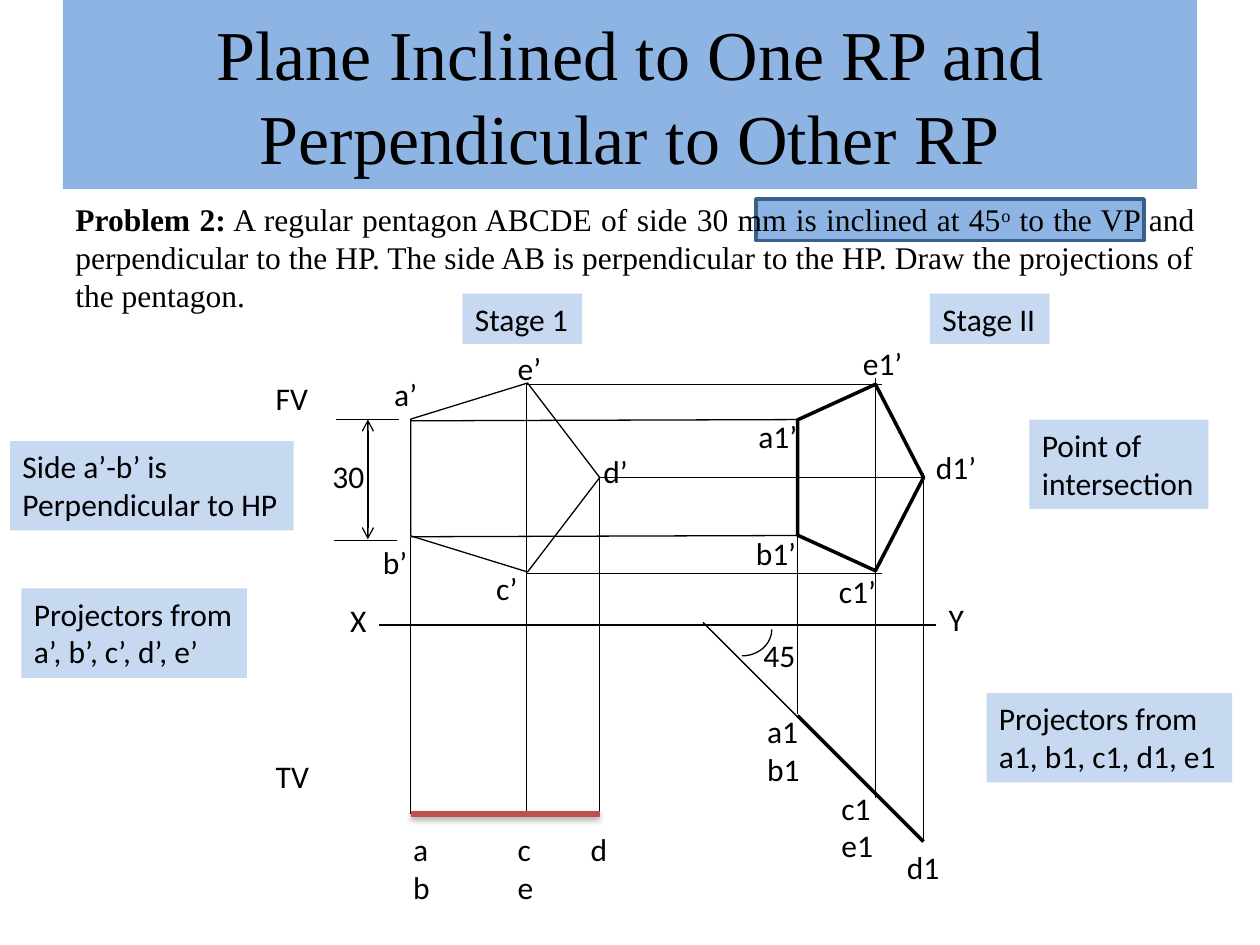
import lxml.etree
import pptx
import pptx.dml.color
import pptx.enum.shapes
import pptx.enum.text
import pptx.oxml
import pptx.oxml.ns
import pptx.util

SHAPES = pptx.enum.shapes.MSO_SHAPE
ALIGN = pptx.enum.text.PP_ALIGN
COLUMNS, ROWS = 10, 7.5
CELL = pptx.util.Inches(1)
INK, BAND, NOTE, RED = "000000", "8EB4E3", "C6D9F1", "C0504D"
SERIF, SANS = "Times New Roman", "Calibri"
THIN, BOLD = 0.75, 2

FRONT_X = {"a": 3.26, "c": 4.18, "d": 4.76}
TILTED_X = {"a": 6.33, "c": 6.95, "d": 7.33}
HEIGHT_Y = {"e": 3.05, "a": 3.34, "d": 3.79, "b": 4.26, "c": 4.55}
PLAN_Y = 6.46

LABELS = [
    ("a’", 3.03, 2.93, 0.39), ("b’", 2.94, 4.26, 0.4), ("c’", 3.84, 4.47, 0.37),
    ("d’", 4.69, 3.54, 0.4), ("e’", 4.01, 2.72, 0.39),
    ("X", 2.68, 4.72, 0.33), ("Y", 7.43, 4.71, 0.32),
    ("a\nb", 3.18, 6.54, 0.34), ("c\ne", 4.01, 6.54, 0.33), ("d", 4.59, 6.54, 0.34),
    ("FV", 2.09, 2.96, 0.46), ("TV", 2.09, 5.96, 0.47),
    ("45", 5.96, 5, 0.52), ("30", 2.54, 3.58, 0.46),
    ("a1\nb1", 5.99, 5.6, 0.46), ("c1\ne1", 6.58, 6.21, 0.46), ("d1", 7.1, 6.68, 0.46),
    ("a1’", 5.92, 3.26, 0.51), ("b1’", 5.9, 4.19, 0.53), ("c1’", 6.56, 4.49, 0.5),
    ("d1’", 7.33, 3.51, 0.53), ("e1’", 6.75, 2.68, 0.52),
]
NOTES = [
    ("Stage 1", 3.67, 2.33, 0.95), ("Stage II", 7.38, 2.33, 0.95),
    ("Side a’-b’ is\nPerpendicular to HP", 0.08, 3.5, 2.25),
    ("Projectors from\na’, b’, c’, d’, e’", 0.17, 4.67, 1.79),
    ("Projectors from\na1, b1, c1, d1, e1", 7.83, 5.5, 1.95),
    ("Point of\nintersection", 8.17, 3.33, 1.42),
]


def colour(value):
    """Turn a hex string into a colour."""
    return pptx.dml.color.RGBColor.from_string(value)


def cells(*counts):
    """Turn counts of grid cells into lengths."""
    return [round(count * CELL) for count in counts]


def style(font, size, face):
    """Set size, face and ink on a font."""
    font.size, font.name = pptx.util.Pt(size), face
    font.color.rgb = colour(INK)


def add_figure(page, kind, place, fill=None, line=None, width=THIN, turn=0):
    """Draw a preset shape with optional fill, outline and rotation."""
    shape = page.shapes.add_shape(kind, *cells(*place))
    shape.shadow.inherit = False
    shape.rotation = turn
    if fill:
        shape.fill.solid()
        shape.fill.fore_color.rgb = colour(fill)
    else:
        shape.fill.background()
    if line:
        shape.line.color.rgb = colour(line)
        shape.line.width = pptx.util.Pt(width)
    else:
        shape.line.fill.background()
    return shape


def add_line(page, start, end, width=THIN, ink=INK):
    """Draw a straight line without a shadow and return it with its effects."""
    line = page.shapes.add_connector(
        pptx.enum.shapes.MSO_CONNECTOR.STRAIGHT, *cells(*start, *end))
    line.line.color.rgb = colour(ink)
    line.line.width = pptx.util.Pt(width)
    effects = lxml.etree.SubElement(
        line._element.spPr, pptx.oxml.ns.qn("a:effectLst"))
    return line, effects


def add_label(page, text, left, top, width, fill=None):
    """Write a label of one or more lines, filled if asked."""
    height = 0.71 if "\n" in text else 0.4
    box = page.shapes.add_textbox(*cells(left, top, width, height))
    box.text_frame.word_wrap = False
    box.text_frame.auto_size = pptx.enum.text.MSO_AUTO_SIZE.SHAPE_TO_FIT_TEXT
    box.text_frame.text = text
    for para in box.text_frame.paragraphs:
        for span in para.runs:
            style(span.font, 18, SANS)
    if fill:
        box.fill.solid()
        box.fill.fore_color.rgb = colour(fill)


def add_title(page):
    """Write the title on its band."""
    box = add_figure(page, SHAPES.RECTANGLE, (0.5, 0, COLUMNS - 1, ROWS / 5), BAND)
    box.text_frame.text = "Plane Inclined to One RP and Perpendicular to Other RP"
    box.text_frame.vertical_anchor = pptx.enum.text.MSO_ANCHOR.MIDDLE
    para = box.text_frame.paragraphs[0]
    para.alignment = ALIGN.CENTER
    style(para.runs[0].font, 40, SERIF)


def add_problem(page):
    """Write the problem statement."""
    box = page.shapes.add_textbox(*cells(0.5, 1.54, 9.08, 1.01))
    box.text_frame.word_wrap = True
    para = box.text_frame.paragraphs[0]
    para.alignment = ALIGN.JUSTIFY
    parts = [
        "Problem 2:", " A regular pentagon ABCDE of side 30 mm is inclined at 45", "o",
        " to the VP and perpendicular to the HP. The side AB is perpendicular to "
        "the HP. Draw the projections of the pentagon.",
    ]
    for part in parts:
        span = para.add_run()
        span.text = part
        style(span.font, 18, SERIF)
    para.runs[0].font.bold = True
    para.runs[2].font._element.set("baseline", "30000")


def add_projectors(page):
    """Draw the reference line and the projectors between the views."""
    add_line(page, (3.01, 4.96), (7.43, 4.96))
    for corner, top in (("d", HEIGHT_Y["d"]), ("c", HEIGHT_Y["e"]), ("a", HEIGHT_Y["b"])):
        add_line(page, (FRONT_X[corner], PLAN_Y), (FRONT_X[corner], top))
    for corner, start, end in (("a", "a", 6.33), ("e", "c", 7), ("b", "a", 6.33),
                               ("d", "d", 7.33), ("c", "c", 7)):
        rise = 0.01 if corner in "ab" else 0
        height = HEIGHT_Y[corner]
        add_line(page, (FRONT_X[start], height), (end, height - rise))
    for corner, bottom, top in (("a", 5.67, 3.33), ("c", 6.33, 3), ("d", 6.67, 3.75)):
        add_line(page, (TILTED_X[corner], bottom), (TILTED_X[corner], top))


def add_plan(page):
    """Draw both top views and the angle of tilt."""
    left, right = FRONT_X["a"], FRONT_X["d"]
    add_line(page, (left, PLAN_Y), (right, PLAN_Y))
    edge, effects = add_line(page, (left, PLAN_Y), (right, PLAN_Y), 3, RED)
    effects.append(pptx.oxml.parse_xml(
        f'<a:outerShdw {pptx.oxml.ns.nsdecls("a")} blurRad="40000" dist="23000" '
        f'dir="5400000" rotWithShape="0"><a:srgbClr val="{INK}">'
        '<a:alpha val="35000"/></a:srgbClr></a:outerShdw>'))
    add_line(page, (5.58, 4.94), (TILTED_X["a"], 5.69))
    add_line(page, (TILTED_X["a"], 5.68), (TILTED_X["d"], 6.68), BOLD)
    add_figure(page, SHAPES.ARC, (5.68, 4.76, 0.42, 0.47), line=INK, turn=90)


def add_dimension(page):
    """Draw the dimension of the side with its double arrow."""
    add_line(page, (3.15, 4.29), (2.65, 4.29))
    add_line(page, (3.17, 3.33), (2.67, 3.33))
    arrow, effects = add_line(page, (2.92, 4.28), (2.92, 3.33))
    for end in ("a:headEnd", "a:tailEnd"):
        tip = lxml.etree.SubElement(arrow.line._get_or_add_ln(), pptx.oxml.ns.qn(end))
        tip.set("type", "arrow")


def main():
    """Build the slide and save it."""
    deck = pptx.Presentation()
    deck.slide_width, deck.slide_height = cells(COLUMNS, ROWS)
    page = deck.slides.add_slide(deck.slide_layouts[6])
    add_figure(page, SHAPES.RECTANGLE, (6, 1.58, 3.08, 0.33), BAND, "3A5F8C", BOLD)
    add_title(page)
    add_problem(page)
    add_figure(page, SHAPES.REGULAR_PENTAGON, (3.26, 3.04, 1.5, 1.5), line=INK, turn=90)
    add_projectors(page)
    add_plan(page)
    add_figure(page, SHAPES.REGULAR_PENTAGON, (6.09, 3.29, 1.48, 1),
               line=INK, width=BOLD, turn=90)
    add_dimension(page)
    for label in LABELS:
        add_label(page, *label)
    for note in NOTES:
        add_label(page, *note, fill=NOTE)
    deck.save("out.pptx")


if __name__ == "__main__":
    main()
